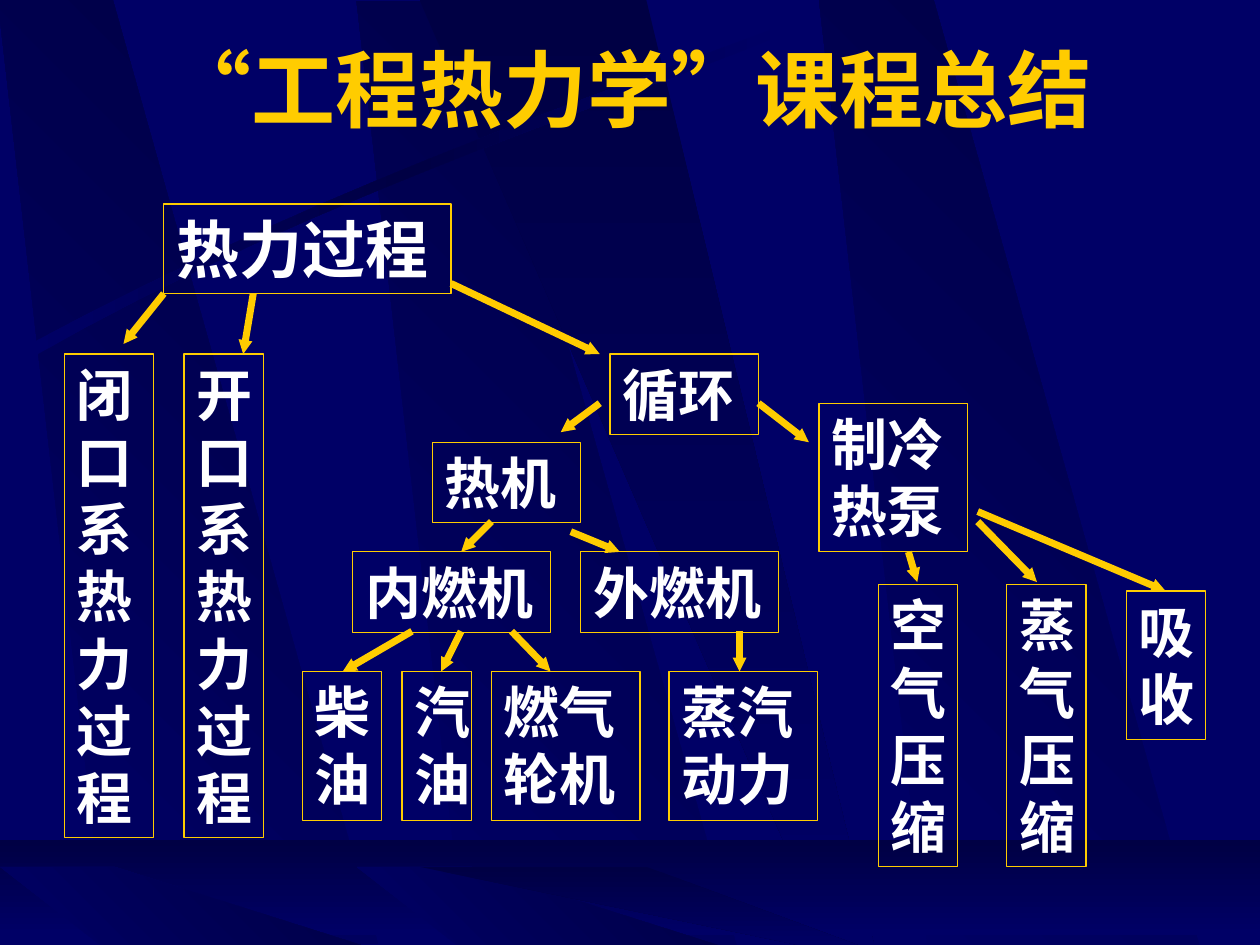
from copy import deepcopy

from lxml import etree
from pptx import Presentation
from pptx.dml.color import RGBColor
from pptx.enum.shapes import MSO_CONNECTOR, MSO_SHAPE
from pptx.enum.text import MSO_ANCHOR, MSO_AUTO_SIZE, PP_ALIGN
from pptx.oxml.ns import qn
from pptx.util import Pt

PX = 9144  # EMU per px, 100 px to the inch
WIDTH, HEIGHT = 1000, 750
TITLE_ONLY = 5
RECTANGLE, STRAIGHT = MSO_SHAPE.RECTANGLE, MSO_CONNECTOR.STRAIGHT
COLORS = {"navy": "000066", "dark": "000044", "gold": "FFCC00", "white": "FFFFFF"}
EAST_ASIAN_FONT = "Noto Sans CJK SC"
TITLE_FONT = {"name": "Times New Roman", "size": Pt(48), "bold": True}
NODE_FONT = {"name": EAST_ASIAN_FONT, "size": Pt(32), "bold": True}
ROOT_FONT = {**NODE_FONT, "size": Pt(36)}
ARROWHEAD = {"type": "triangle", "w": "sm", "len": "sm"}

# Beam outlines: x in px, y as a share of the beam's height
SLANTED = [(86, 1), (302, 1), (91, 0), (0, 0)]
SPREADING = [(0, 0), (325, 1), (361, 1), (180, 0)]
FADE_OUT, FADE_IN = ("navy", "dark"), ("dark", "navy")

# Text, left, top, width, height
NODES = [
    ("热力过程", 80, 2, 228, 71),
    ("闭口系热力过程", 1, 121, 71, 384),
    ("开口系热力过程", 96, 121, 63, 384),
    ("循环", 434, 121, 118, 64),
    ("热机", 293, 191, 118, 64),
    ("制冷热泵", 600, 160, 118, 118),
    ("内燃机", 230, 278, 157, 64),
    ("外燃机", 411, 278, 157, 64),
    ("柴油", 190, 373, 63, 118),
    ("汽油", 269, 373, 55, 118),
    ("燃气轮机", 340, 373, 118, 118),
    ("蒸汽动力", 481, 373, 118, 118),
    ("空气压缩", 647, 304, 63, 224),
    ("蒸气压缩", 749, 304, 63, 224),
    ("吸收", 844, 309, 63, 118),
]
# Start x, start y, end x, end y
ARROWS = [
    (80, 73, 48, 113), (151, 73, 143, 121), (308, 65, 426, 121),
    (426, 160, 395, 183), (552, 160, 592, 191),
    (340, 254, 316, 278), (403, 262, 442, 278),
    (277, 341, 222, 373), (316, 341, 300, 373), (356, 341, 387, 373),
    (537, 341, 537, 373),
    (671, 278, 678, 302), (726, 254, 773, 302), (726, 246, 875, 309),
]


def color(name):
    return RGBColor.from_string(COLORS[name])


def emu(*lengths):
    return [round(length * PX) for length in lengths]


def fill_gradient(shape, names, clockwise_angle):
    shape.shadow.inherit = False
    shape.line.fill.background()
    shape.fill.gradient()
    shape.fill.gradient_angle = (360 - clockwise_angle) % 360
    stop_list = shape.fill._fill._gradFill.gsLst
    while len(stop_list) < len(names):
        stop_list.append(deepcopy(stop_list[-1]))
    for index, (stop, name) in enumerate(zip(shape.fill.gradient_stops, names)):
        stop.color.rgb = color(name)
        stop.position = index / (len(names) - 1)


def add_outline(slide, points, names, angle):
    builder = slide.shapes.build_freeform(*emu(*points[0]), scale=1)
    builder.add_line_segments([emu(*point) for point in points[1:]])
    fill_gradient(builder.convert_to_shape(), names, angle)


def add_beam(slide, left, top, height, outline, names, angle):
    points = [(left + x, top + share * height) for x, share in outline]
    add_outline(slide, points, names, angle)


def curve(start, control_1, control_2, end, steps=16):
    """Points along a cubic curve."""
    points = []
    for step in range(steps + 1):
        t = step / steps
        weights = ((1 - t) ** 3, 3 * t * (1 - t) ** 2, 3 * t * t * (1 - t), t ** 3)
        points.append(tuple(
            sum(weight * value for weight, value in zip(weights, values))
            for values in zip(start, control_1, control_2, end)))
    return points


def add_backdrop(slide, left, top, width, height):
    slide.background.fill.solid()
    slide.background.fill.fore_color.rgb = color("navy")
    # Beams on the wall
    for x, y in [(283, 1), (-2, -2), (650, 0)]:
        add_beam(slide, left + x, top + y, 751, SLANTED, FADE_OUT, 315)
    add_beam(slide, left + 333, top, 751, SPREADING, FADE_IN, 90)
    # Curved streak
    streak = (curve((20, 275), (284, 134), (524, 59), (626, 18))
              + curve((629, 24), (528, 69), (254, 151), (23, 285)))
    add_outline(slide, [(left + x, top + y) for x, y in streak],
                ("navy", "dark", "navy"), 0)
    # Floor and its beams
    floor = slide.shapes.add_shape(
        RECTANGLE, *emu(left, top + height - 83, width, 75))
    fill_gradient(floor, FADE_IN, 90)
    for x in (283, 0):
        add_beam(slide, left + x, top + 688, 67, SLANTED, FADE_OUT, 315)
    add_beam(slide, left + 333, top + 688, 67, SPREADING, FADE_IN, 90)


def write_text(shape, text, font_format, color_name, alignment, anchor):
    frame = shape.text_frame
    frame.word_wrap = True
    frame.auto_size = MSO_AUTO_SIZE.NONE
    frame.vertical_anchor = anchor
    paragraph = frame.paragraphs[0]
    paragraph.alignment = alignment
    run = paragraph.add_run()
    run.text = text
    for name, value in font_format.items():
        setattr(run.font, name, value)
    run.font.color.rgb = color(color_name)
    properties = run.font._element
    properties.set("lang", "zh-CN")
    east_asian = etree.Element(qn("a:ea"), typeface=EAST_ASIAN_FONT)
    properties.find(qn("a:latin")).addnext(east_asian)


def add_title(slide, left, top, width, height):
    title = slide.shapes.title
    title.left, title.top, title.width, title.height = emu(left, top, width, height)
    write_text(title, "“工程热力学”课程总结", TITLE_FONT, "gold",
               PP_ALIGN.CENTER, MSO_ANCHOR.MIDDLE)
    # Bring the placeholder in front of the backdrop
    slide.shapes._spTree.append(title._element)


def add_node(slide, text, left, top, width, height, font_format):
    node = slide.shapes.add_shape(RECTANGLE, *emu(left, top, width, height))
    node.shadow.inherit = False
    node.fill.background()
    node.line.color.rgb = color("gold")
    node.line.width = Pt(0.75)
    write_text(node, text, font_format, "white", PP_ALIGN.LEFT, MSO_ANCHOR.TOP)


def add_arrow(slide, *ends):
    arrow = slide.shapes.add_connector(STRAIGHT, *emu(*ends))
    arrow.line.color.rgb = color("gold")
    arrow.line.width = Pt(4)
    etree.SubElement(arrow.line._get_or_add_ln(), qn("a:tailEnd"), ARROWHEAD)
    etree.SubElement(arrow._element.spPr, qn("a:effectLst"))


def add_tree(slide, left, top):
    for index, (text, x, y, width, height) in enumerate(NODES):
        add_node(slide, text, left + x, top + y, width, height,
                 NODE_FONT if index else ROOT_FONT)
    for x1, y1, x2, y2 in ARROWS:
        add_arrow(slide, left + x1, top + y1, left + x2, top + y2)


def main():
    presentation = Presentation()
    presentation.slide_width, presentation.slide_height = emu(WIDTH, HEIGHT)
    slide = presentation.slides.add_slide(presentation.slide_layouts[TITLE_ONLY])
    add_backdrop(slide, 0, 0, WIDTH, HEIGHT)
    add_title(slide, 95, 25, 810, 90)
    add_tree(slide, 50, 160)
    presentation.save("out.pptx")


if __name__ == "__main__":
    main()
